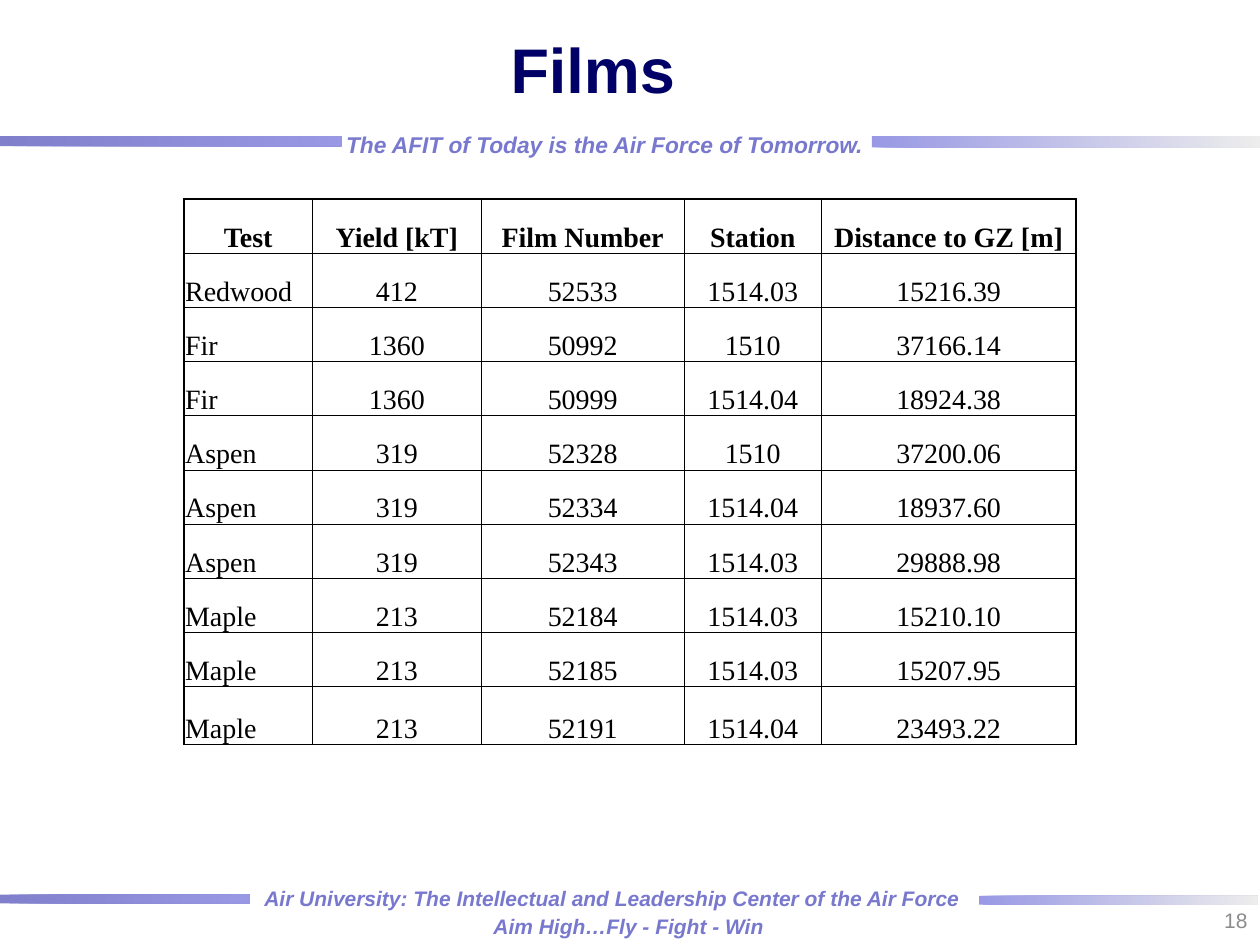
from lxml import etree
from pptx import Presentation, util as u
from pptx.dml.color import RGBColor
from pptx.enum import shapes, text
from pptx.oxml.ns import qn

HUES = {"navy": "000099", "blue": "3333CC", "pale": "DDDDDD", "motto": "7878CE",
        "title": "000066", "page": "8C8C8C", "ink": "000000", "white": "FFFFFF"}
MOTTO = {"name": "Arial", "size": 12, "bold": True, "italic": True, "color": "motto"}
ROWS = [
    ("Test", "Yield [kT]", "Film Number", "Station", "Distance to GZ [m]"),
    ("Redwood", "412", "52533", "1514.03", "15216.39"),
    ("Fir", "1360", "50992", "1510", "37166.14"),
    ("Fir", "1360", "50999", "1514.04", "18924.38"),
    ("Aspen", "319", "52328", "1510", "37200.06"),
    ("Aspen", "319", "52334", "1514.04", "18937.60"),
    ("Aspen", "319", "52343", "1514.03", "29888.98"),
    ("Maple", "213", "52184", "1514.03", "15210.10"),
    ("Maple", "213", "52185", "1514.03", "15207.95"),
    ("Maple", "213", "52191", "1514.04", "23493.22"),
]
WIDE = [1.02, 1.34, 1.61, 1.09, 2.02]


def hue(key):
    return RGBColor.from_string(HUES[key])


def inch(box):
    return [u.Inches(v) for v in box]


def style(para, words, look, align):
    para.alignment = align
    run = para.add_run()
    run.text = words
    for key, val in look.items():
        if key == "color":
            run.font.color.rgb = hue(val)
        else:
            setattr(run.font, key, u.Pt(val) if key == "size" else val)


def label(slide, box, words, look, align=text.PP_ALIGN.CENTER, wrap=False,
          anchor=text.MSO_ANCHOR.TOP):
    frame = slide.shapes.add_textbox(*inch(box)).text_frame
    frame.word_wrap = wrap
    frame.vertical_anchor = anchor
    style(frame.paragraphs[0], words, look, align)


def rect(slide, box):
    shape = slide.shapes.add_shape(shapes.MSO_SHAPE.RECTANGLE, *inch(box))
    shape.shadow.inherit = False
    return shape


def bar(slide, box, start, end):
    shape = rect(slide, box)
    shape.line.fill.background()
    shape.fill.gradient()
    shape.fill.gradient_angle = 0
    for stop, key, pos in zip(shape.fill.gradient_stops, (start, end), (0, 1)):
        stop.color.rgb = hue(key)
        stop.position = pos
    # Half transparent
    for node in shape._element.spPr.iter(qn("a:srgbClr")):
        etree.SubElement(node, qn("a:alpha"), val="50000")


def header(slide, box):
    left, top, wide, high = box
    base = top + high
    bar(slide, (left + 6.92, base, wide - 6.92, 0.09), "blue", "pale")
    bar(slide, (left, base, 2.71, 0.08), "navy", "blue")
    label(slide, (left + 2.62, base - 0.09, 4.35, 0.31),
          "The AFIT of Today is the Air Force of Tomorrow.", {**MOTTO, "size": 13})
    label(slide, (left + 1.08, top, 7.25, high), "Films",
          {"name": "Arial", "size": 36, "bold": True, "color": "title"},
          wrap=True, anchor=text.MSO_ANCHOR.MIDDLE)


def footer(slide, box):
    left, top, wide, high = box
    bar(slide, (left, top + 0.12, 1.98, 0.07), "navy", "blue")
    bar(slide, (left + 7.77, top + 0.13, 2.21, 0.07), "blue", "pale")
    label(slide, (left + 1.98, top, 5.76, 0.29),
          "Air University: The Intellectual and Leadership Center of the Air Force", MOTTO)
    label(slide, (left + 3.81, top + 0.22, 2.36, 0.29), "Aim High…Fly - Fight - Win", MOTTO)
    label(slide, (left + wide - 2.33, top + high - 0.4, 2.33, 0.4), "18",
          {"name": "Arial", "size": 12, "color": "page"},
          text.PP_ALIGN.RIGHT, True, text.MSO_ANCHOR.MIDDLE)


def edge(cell, side, width):
    line = etree.SubElement(cell._tc.get_or_add_tcPr(), qn("a:ln" + side),
                            w=str(u.Pt(width)))
    fill = etree.SubElement(line, qn("a:solidFill"))
    etree.SubElement(fill, qn("a:srgbClr"), val=HUES["ink"])


def films(slide, box):
    # White panel behind the table
    panel = rect(slide, box)
    panel.fill.solid()
    panel.fill.fore_color.rgb = hue("white")
    panel.line.color.rgb = hue("white")
    panel.line.width = u.Pt(0.75)

    left, top = box[:2]
    last, end = len(ROWS) - 1, len(WIDE) - 1
    grid = slide.shapes.add_table(len(ROWS), len(WIDE), *inch(
        (left + 0.38, top + 0.25, sum(WIDE), 4.33))).table
    grid.first_row = grid.horz_banding = False
    for col, wide in zip(grid.columns, WIDE):
        col.width = u.Inches(wide)
    for r, row in enumerate(ROWS):
        grid.rows[r].height = u.Inches(0.46 if r == last else 0.43)
        for c, words in enumerate(row):
            cell = grid.cell(r, c)
            form = {"margin_left": u.Inches(0.01), "margin_right": u.Inches(0.01),
                    "margin_top": u.Inches(0.01), "margin_bottom": 0,
                    "vertical_anchor": text.MSO_ANCHOR.BOTTOM}
            for key, val in form.items():
                setattr(cell, key, val)
            # Outer edges are twice as thick
            outer = {"L": c == 0, "R": c == end, "T": r == 0, "B": r == last}
            for side, thick in outer.items():
                edge(cell, side, 1 if thick else 0.5)
            cell.fill.background()
            names = c == 0 and r > 0
            style(cell.text_frame.paragraphs[0], words,
                  {"name": "Times New Roman", "size": 16, "bold": r == 0, "color": "ink"},
                  text.PP_ALIGN.LEFT if names else text.PP_ALIGN.CENTER)


def main():
    deck = Presentation()
    deck.slide_width, deck.slide_height = inch((10, 7.5))
    slide = deck.slides.add_slide(deck.slide_layouts[6])
    footer(slide, (0, 6.98, 10, 0.52))
    header(slide, (0, 0, 10, 1.08))
    films(slide, (1.08, 1.33, 7.75, 4.92))
    deck.save("out.pptx")


if __name__ == "__main__":
    main()
